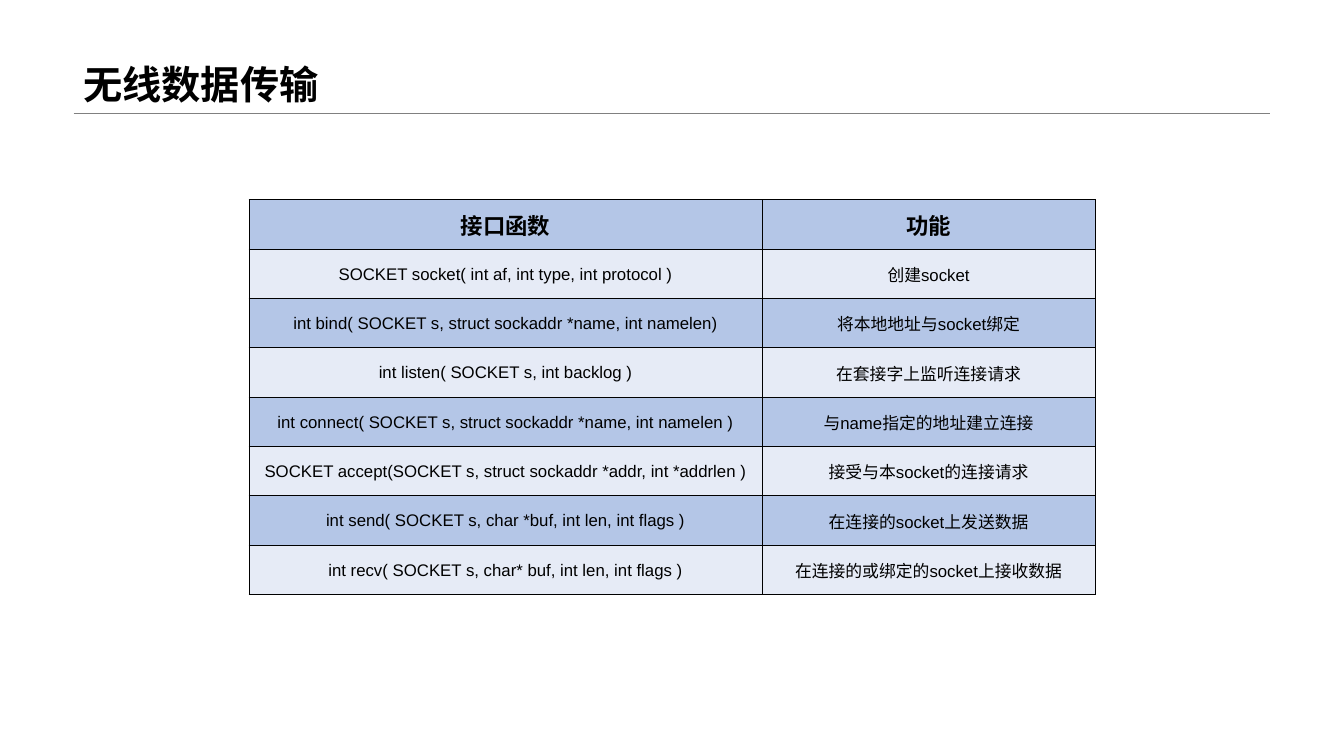
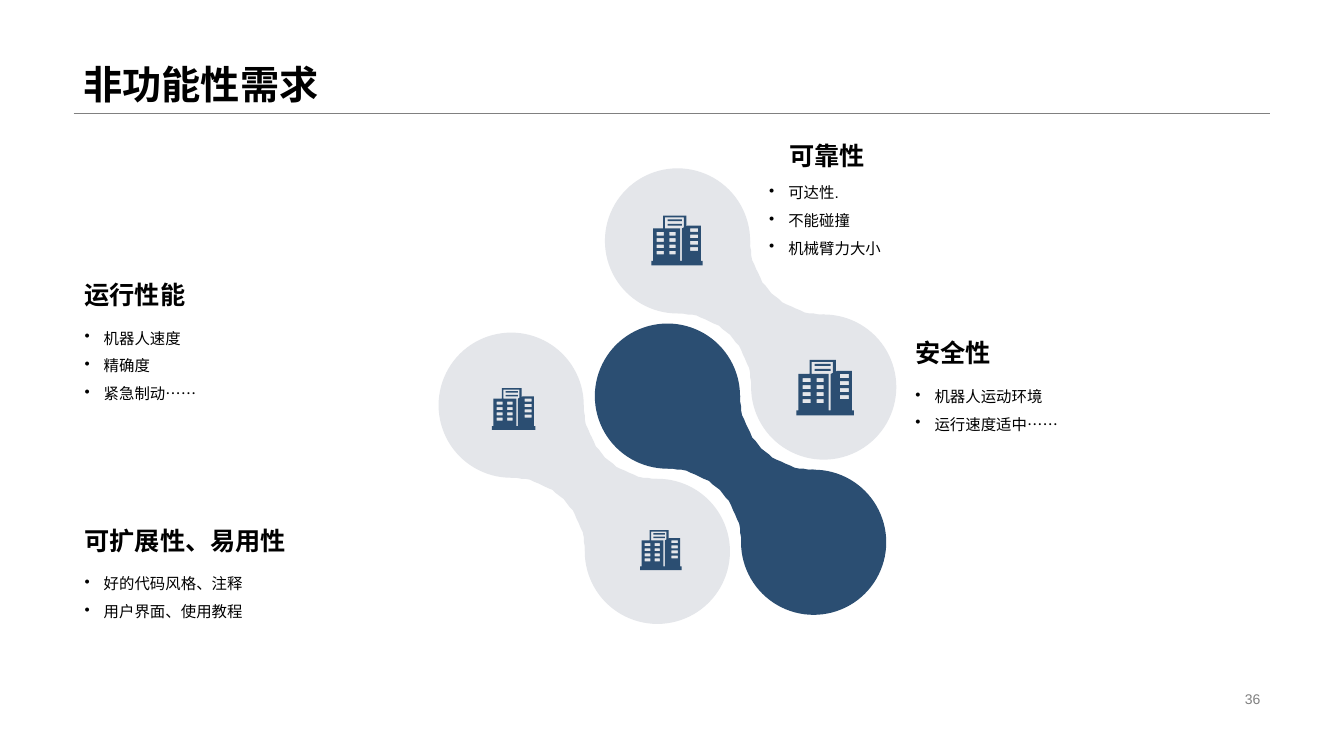
from math import cos, pi, sin

from lxml.etree import SubElement
from pptx import Presentation
from pptx.dml.color import RGBColor
from pptx.enum.shapes import MSO_CONNECTOR, MSO_SHAPE
from pptx.enum.text import MSO_ANCHOR, PP_ALIGN
from pptx.oxml.ns import qn
from pptx.util import Pt

PX = 9144  # EMU in one px, 100 px to the inch
OVAL = MSO_SHAPE.OVAL
STRAIGHT = MSO_CONNECTOR.STRAIGHT
TOP, MIDDLE, BOTTOM = MSO_ANCHOR.TOP, MSO_ANCHOR.MIDDLE, MSO_ANCHOR.BOTTOM
LEFT, CENTER, RIGHT = PP_ALIGN.LEFT, PP_ALIGN.CENTER, PP_ALIGN.RIGHT
LATIN_FONT, CJK_FONT = "Arial", "Noto Sans CJK SC"
COLORS = {
    "text": "000000",
    "muted": "808080",
    "band_dark": "B4C6E7",
    "band_light": "E6EBF6",
    "navy": "2B4E72",
    "pale": "E4E6EA",
}
RGB = {name: RGBColor.from_string(value) for name, value in COLORS.items()}


def write(frame, lines, size, font=LATIN_FONT, color="text", bold=False,
          align=LEFT, anchor=TOP, spacing=1.0, bullet=None):
    """Fill a text frame with one paragraph per line, all in one style."""
    frame.word_wrap = True
    frame.vertical_anchor = anchor
    frame.text = "\n".join(lines)
    for paragraph in frame.paragraphs:
        properties = paragraph._p.get_or_add_pPr()
        if bullet:
            properties.set("marL", str(19 * PX))
            properties.set("indent", str(-19 * PX))
            SubElement(properties, qn("a:buChar"), char=bullet)
        paragraph.alignment = align
        paragraph.line_spacing = spacing
        paragraph.font.size = Pt(size)
        paragraph.font.bold = bold
        paragraph.font.color.rgb = RGB[color]
        paragraph.font.name = font
        SubElement(properties.find(qn("a:defRPr")), qn("a:ea"), typeface=CJK_FONT)


def add_outline(shapes, contours, left, top, zoom, color):
    """Draw closed contours as one filled shape, in px times zoom from left, top."""
    builder = shapes.build_freeform(*contours[0][0], scale=zoom * PX)
    for number, points in enumerate(contours):
        if number:
            builder.move_to(*points[0])
        builder.add_line_segments(points[1:], close=True)
    shape = builder.convert_to_shape(round(left * PX), round(top * PX))
    shape.shadow.inherit = False
    shape.fill.solid()
    shape.fill.fore_color.rgb = RGB[color]
    shape.line.fill.background()


presentation = Presentation()
presentation.slide_width = 1333 * PX
presentation.slide_height = 750 * PX

# Shared title and rule
slides = []
for title in ("无线数据传输", "非功能性需求"):
    slide = presentation.slides.add_slide(presentation.slide_layouts[6])
    rule = slide.shapes.add_connector(STRAIGHT, 73 * PX, 112 * PX, 1260 * PX, 112 * PX)
    rule.line.color.rgb = RGB["muted"]
    rule.line.width = Pt(0.25)
    SubElement(rule._element.spPr, qn("a:effectLst"))
    box = slide.shapes.add_textbox(73 * PX, 0, 1187 * PX, 112 * PX)
    write(box.text_frame, [title], 28, bold=True, anchor=BOTTOM, spacing=0.9)
    slides.append(slide)
socket_slide, needs_slide = slides

# Socket functions
ROWS = [
    ("接口函数", "功能"),
    ("SOCKET socket( int af, int type, int protocol )", "创建socket"),
    ("int bind( SOCKET s, struct sockaddr *name, int namelen)", "将本地地址与socket绑定"),
    ("int listen( SOCKET s, int backlog )", "在套接字上监听连接请求"),
    ("int connect( SOCKET s, struct sockaddr *name, int namelen )", "与name指定的地址建立连接"),
    ("SOCKET accept(SOCKET s, struct sockaddr *addr, int *addrlen )", "接受与本socket的连接请求"),
    ("int send( SOCKET s, char *buf, int len, int flags )", "在连接的socket上发送数据"),
    ("int recv( SOCKET s, char* buf, int len, int flags )", "在连接的或绑定的socket上接收数据"),
]
COLUMN_WIDTHS = (509, 330)
ROW_HEIGHT = 49
table = socket_slide.shapes.add_table(
    len(ROWS), len(COLUMN_WIDTHS), 247 * PX, 198 * PX,
    sum(COLUMN_WIDTHS) * PX, len(ROWS) * ROW_HEIGHT * PX).table
table.first_row = table.horz_banding = False
for column, width in zip(table.columns, COLUMN_WIDTHS):
    column.width = width * PX
for row_number, texts in enumerate(ROWS):
    table.rows[row_number].height = ROW_HEIGHT * PX
    header = row_number == 0
    for column_number, text in enumerate(texts):
        cell = table.cell(row_number, column_number)
        cell.margin_left = cell.margin_right = cell.margin_top = PX
        cell.margin_bottom = 0
        cell.vertical_anchor = MIDDLE
        write(cell.text_frame, [text], 16 if header else 12,
              font=CJK_FONT if header else LATIN_FONT, bold=header, align=CENTER)
        for side in ("a:lnL", "a:lnR", "a:lnT", "a:lnB"):
            border = SubElement(cell._tc.get_or_add_tcPr(), qn(side), w=str(Pt(0.5)))
            fill = SubElement(border, qn("a:solidFill"))
            SubElement(fill, qn("a:srgbClr"), val=COLORS["text"])
        cell.fill.solid()
        cell.fill.fore_color.rgb = RGB["band_light" if row_number % 2 else "band_dark"]

# Page number
box = needs_slide.shapes.add_textbox(942 * PX, 682 * PX, 318 * PX, 23 * PX)
write(box.text_frame, ["36"], 10, color="muted", align=RIGHT, anchor=MIDDLE)

# Pairs of circles joined by a neck with two concave quarter arcs
RADIUS = 72
STEP = 145  # from the first centre to the second, both across and down
NECK_RADIUS = STEP - RADIUS
ARC_STEPS = 24
angles = [pi / 2 * step / ARC_STEPS for step in range(ARC_STEPS + 1)]
neck = [(NECK_RADIUS * sin(a), STEP - NECK_RADIUS * cos(a)) for a in angles]
neck += [(STEP - x, STEP - y) for x, y in neck]
for center_x, center_y, color in ((672, 239, "pale"), (662, 393, "navy"), (507, 402, "pale")):
    pair = needs_slide.shapes.add_group_shape()
    for shift in (0, STEP):
        circle = pair.shapes.add_shape(
            OVAL, (center_x + shift - RADIUS) * PX, (center_y + shift - RADIUS) * PX,
            2 * RADIUS * PX, 2 * RADIUS * PX)
        circle.shadow.inherit = False
        circle.fill.solid()
        circle.fill.fore_color.rgb = RGB[color]
        circle.line.fill.background()
    add_outline(pair.shapes, [neck], center_x, center_y, 1, color)

# Office building icon, 57 px wide
ICON_WIDTH = 57
building = [
    [(13, 0), (39, 0), (39, 12), (40, 11), (55, 11), (55, 50), (57, 50),
     (57, 55), (0, 55), (0, 50), (2, 50), (2, 14), (13, 14)],
    [(15, 2), (15, 14), (32, 14), (32, 50), (34, 50), (34, 14), (36, 13), (36, 2)],
]
# left, right, first top, height, pitch, count
for left, right, first, height, pitch, count in (
        (6, 14, 18, 4, 7, 4), (20, 27, 18, 4, 7, 4), (43, 52, 14, 4, 7, 4), (18, 34, 4, 2, 5, 2)):
    for top in range(first, first + pitch * count, pitch):
        building.append([(left, top), (left, top + height), (right, top + height), (right, top)])
for left, top, width in ((790, 357, 57), (646, 214, 51), (635, 526, 41), (488, 385, 43)):
    add_outline(needs_slide.shapes, building, left, top, width / ICON_WIDTH, "navy")

# Requirement groups: heading, its left and top, list left and top, width, items
NEEDS = [
    ("运行性能", 74, 269, 74, 312, 336, ["机器人速度", "精确度", "紧急制动……"]),
    ("可扩展性、易用性", 74, 513, 74, 556, 497, ["好的代码风格、注释", "用户界面、使用教程"]),
    ("可靠性", 773, 131, 753, 168, 508, ["可达性.", "不能碰撞", "机械臂力大小"]),
    ("安全性", 898, 327, 898, 370, 362, ["机器人运动环境", "运行速度适中……"]),
]
for heading, left, top, list_left, list_top, width, items in NEEDS:
    box = needs_slide.shapes.add_textbox(list_left * PX, list_top * PX, width * PX, 100 * PX)
    write(box.text_frame, items, 11, spacing=1.5, bullet="•")
    box = needs_slide.shapes.add_textbox(left * PX, top * PX, width * PX, 43 * PX)
    write(box.text_frame, [heading], 18, bold=True, anchor=BOTTOM)

presentation.save("out.pptx")
